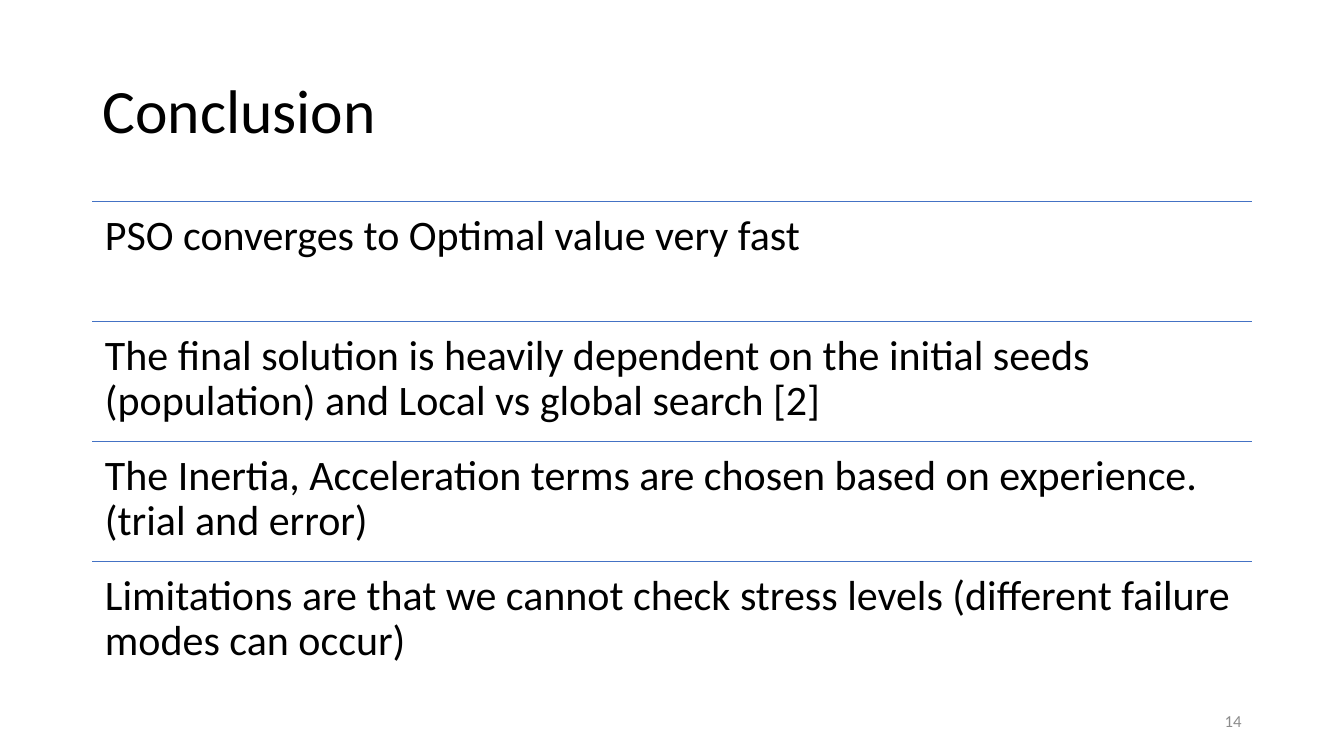
import pptx
import pptx.util
import pptx.dml.color
import pptx.enum.shapes
import pptx.enum.text
import pptx.oxml.ns
import lxml.etree

Pt = pptx.util.Pt
RGBColor = pptx.dml.color.RGBColor
Align = pptx.enum.text.PP_ALIGN
Anchor = pptx.enum.text.MSO_ANCHOR

BLACK = RGBColor(0x00, 0x00, 0x00)
GRAY = RGBColor(0x8C, 0x8C, 0x8C)
BLUE = RGBColor(0x44, 0x72, 0xC4)

LEFT, WIDTH = 66, 828
TOP, STEP = 144, 85.68
POINTS = [
    "PSO converges to Optimal value very fast",
    "The final solution is heavily dependent on the initial seeds "
    "(population) and Local vs global search [2]",
    "The Inertia, Acceleration terms are chosen based on experience. "
    "(trial and error)",
    "Limitations are that we cannot check stress levels "
    "(different failure modes can occur)",
]


def write(frame, text, size, color, align=Align.LEFT):
    frame.word_wrap = True
    frame.auto_size = pptx.enum.text.MSO_AUTO_SIZE.NONE
    para = frame.paragraphs[0]
    para.alignment = align
    run = para.add_run()
    run.text = text
    run.font.name = "Calibri"
    run.font.size = Pt(size)
    run.font.color.rgb = color
    return para


deck = pptx.Presentation()
deck.slide_width = Pt(960)
deck.slide_height = Pt(540)
slide = deck.slides.add_slide(deck.slide_layouts[5])
shapes = slide.shapes

title = shapes.title
title.left, title.top = Pt(LEFT), Pt(28.8)
title.width, title.height = Pt(WIDTH), Pt(104.4)
title.text_frame.vertical_anchor = Anchor.MIDDLE
write(title.text_frame, "Conclusion", 44, BLACK).line_spacing = 0.9

for row, point in enumerate(POINTS):
    top = TOP + row * STEP
    rule = shapes.add_connector(
        pptx.enum.shapes.MSO_CONNECTOR.STRAIGHT,
        Pt(LEFT), Pt(top), Pt(LEFT + WIDTH), Pt(top))
    rule.line.color.rgb = BLUE
    rule.line.width = Pt(1)
    lxml.etree.SubElement(
        rule._element.spPr, pptx.oxml.ns.qn("a:effectLst"))

    box = shapes.add_textbox(Pt(LEFT), Pt(top), Pt(WIDTH), Pt(STEP))
    frame = box.text_frame
    frame.margin_left = frame.margin_right = Pt(9)
    frame.margin_top = frame.margin_bottom = Pt(9)
    write(frame, point, 30, BLACK).line_spacing = 0.9

page = shapes.add_textbox(Pt(678), Pt(500.5), Pt(216), Pt(28.8))
page.text_frame.vertical_anchor = Anchor.MIDDLE
write(page.text_frame, "14", 12, GRAY, Align.RIGHT)

deck.save("out.pptx")
